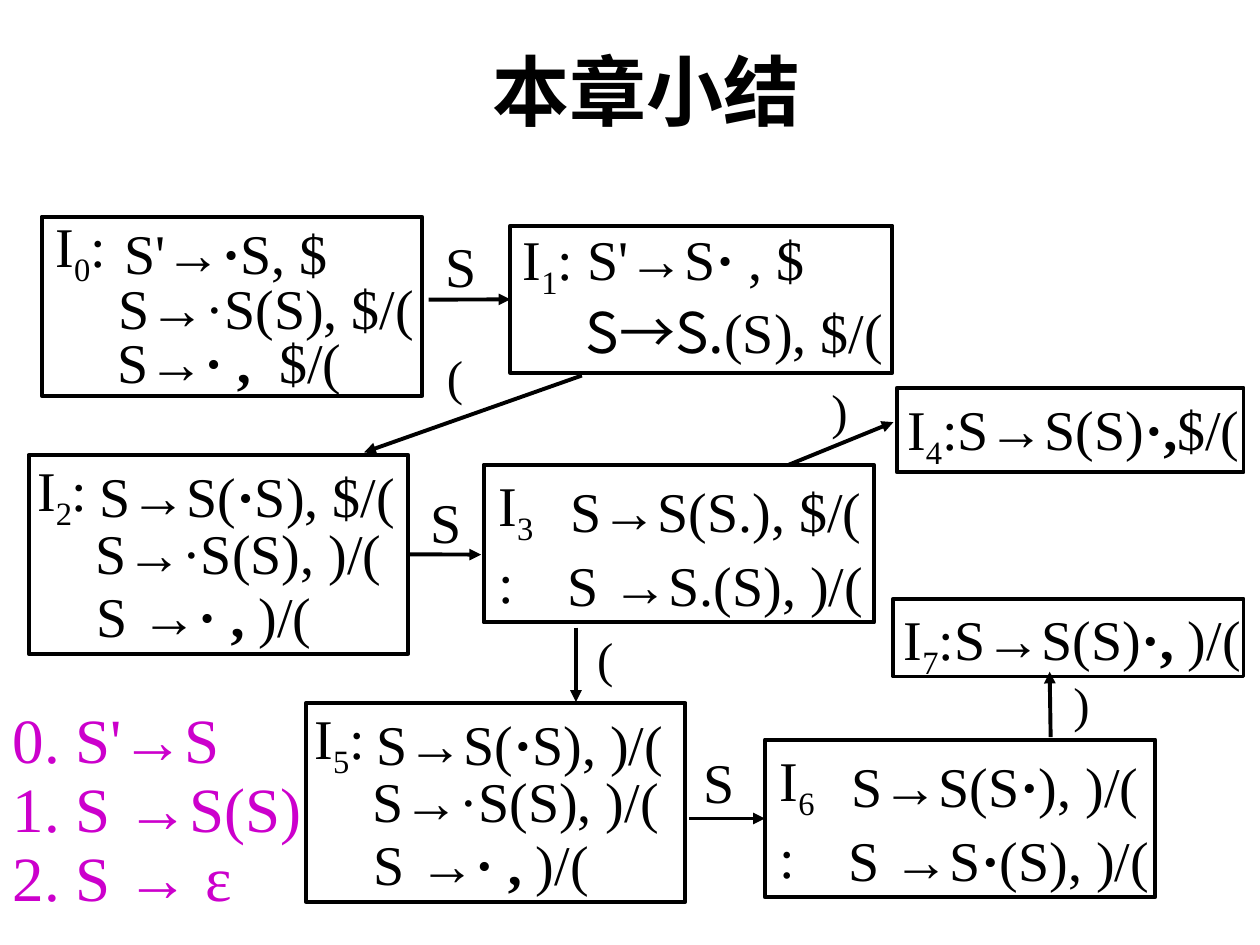
from collections import namedtuple
from dataclasses import dataclass

from lxml import etree
from pptx import Presentation
from pptx.dml.color import RGBColor
from pptx.enum.shapes import MSO_CONNECTOR, MSO_SHAPE
from pptx.enum.text import MSO_ANCHOR, MSO_AUTO_SIZE, PP_ALIGN
from pptx.oxml.ns import qn
from pptx.util import Cm, Pt

STRAIGHT = MSO_CONNECTOR.STRAIGHT
RECTANGLE = MSO_SHAPE.RECTANGLE
MIDDLE = MSO_ANCHOR.MIDDLE
FIT_SHAPE, NO_FIT = MSO_AUTO_SIZE.SHAPE_TO_FIT_TEXT, MSO_AUTO_SIZE.NONE
CENTER = PP_ALIGN.CENTER
LEFT, RIGHT = 1, 3  # connection sites of a rectangle
BOLD, SUB, CJK = "bold", "sub", "cjk"

Side = namedtuple("Side", "state site")
State = namedtuple("State", "box label label_spot items spots")


@dataclass(frozen=True)
class Theme:
    ink: RGBColor = RGBColor(0, 0, 0)
    accent: RGBColor = RGBColor(0xCC, 0x00, 0xCC)
    latin: str = "Times New Roman"
    cjk: str = "Noto Sans CJK SC"
    title_size: int = 44
    grammar_size: int = 36
    item_size: int = 32
    paren_size: int = 28
    line_width: float = 2.25


class SlideBuilder:
    def __init__(self, slide, theme):
        self.slide = slide
        self.theme = theme

    @staticmethod
    def place(shape, left, top, width, height):
        shape.left, shape.top = Cm(left), Cm(top)
        shape.width, shape.height = Cm(width), Cm(height)

    @staticmethod
    def style(paragraph, size, color, face, bold=None):
        font = paragraph.font
        font.size, font.name, font.bold = Pt(size), face, bold
        font.color.rgb = color
        defaults = paragraph._p.pPr.find(qn("a:defRPr"))
        etree.SubElement(defaults, qn("a:ea"), typeface=face)

    def title(self, text, *bounds):
        holder = self.slide.shapes.title
        self.place(holder, *bounds)
        frame = holder.text_frame
        frame.text = text
        frame.vertical_anchor = MIDDLE
        frame.paragraphs[0].alignment = CENTER
        self.style(frame.paragraphs[0], self.theme.title_size,
                   self.theme.ink, self.theme.cjk, True)

    def grammar(self, start_rule, numbered_rules, *bounds):
        holder = self.slide.placeholders[1]
        self.place(holder, *bounds)
        frame = holder.text_frame
        frame.auto_size = NO_FIT
        frame.text = "\n".join([start_rule, *numbered_rules])
        for index, paragraph in enumerate(frame.paragraphs):
            props = paragraph._p.get_or_add_pPr()
            props.set("marL", str(Cm(1.27)))
            props.set("indent", str(-Cm(1.27)))
            if index:
                color = etree.SubElement(props, qn("a:buClr"))
                etree.SubElement(color, qn("a:srgbClr"),
                                 val=str(self.theme.accent))
                etree.SubElement(props, qn("a:buFont"),
                                 typeface=self.theme.latin)
                etree.SubElement(props, qn("a:buAutoNum"), type="arabicPeriod")
            else:
                etree.SubElement(props, qn("a:buNone"))
            paragraph.line_spacing = 0.6
            paragraph.space_before = Pt(13.5 if index else 0)
            self.style(paragraph, self.theme.grammar_size,
                       self.theme.accent, self.theme.latin)

    def text(self, runs, left, top, width, size=None, height=1.63):
        """Add one line; each run is a string or a (string, variant) pair."""
        box = self.slide.shapes.add_textbox(
            Cm(left), Cm(top), Cm(width), Cm(height))
        frame = box.text_frame
        frame.word_wrap = True
        frame.auto_size = FIT_SHAPE
        paragraph = frame.paragraphs[0]
        self.style(paragraph, size or self.theme.item_size,
                   self.theme.ink, self.theme.latin)
        for part in runs:
            words, variant = (part, None) if isinstance(part, str) else part
            run = paragraph.add_run()
            run.text = words
            if variant == BOLD:
                run.font.bold = True
            elif variant == SUB:
                run._r.get_or_add_rPr().set("baseline", "-25000")
            elif variant == CJK:
                run.font.name = self.theme.cjk
                etree.SubElement(run._r.rPr, qn("a:ea"),
                                 typeface=self.theme.cjk)

    def state(self, number, state):
        """Draw the frame, the label and the items, placed from its corner."""
        left, top, width, height = state.box
        frame = self.slide.shapes.add_shape(
            RECTANGLE, Cm(left), Cm(top), Cm(width), Cm(height))
        frame.shadow.inherit = False
        frame.fill.background()
        frame.line.color.rgb = self.theme.ink
        frame.line.width = Pt(self.theme.line_width)
        dx, dy, label_width, label_height = state.label_spot
        self.text(["I", (str(number), SUB), *state.label],
                  left + dx, top + dy, label_width, height=label_height)
        for runs, (dx, dy, item_width) in zip(state.items, state.spots):
            self.text(runs, left + dx, top + dy, item_width)
        return frame

    def arrow(self, start, end, frames):
        """Draw from start to end, each a point or a Side of a state."""
        points = [(0, 0) if isinstance(spot, Side) else spot
                  for spot in (start, end)]
        line = self.slide.shapes.add_connector(
            STRAIGHT, *(Cm(value) for point in points for value in point))
        if isinstance(start, Side):
            line.begin_connect(frames[start.state], start.site)
        if isinstance(end, Side):
            line.end_connect(frames[end.state], end.site)
        line.line.color.rgb = self.theme.ink
        line.line.width = Pt(self.theme.line_width)
        etree.SubElement(line.line._get_or_add_ln(), qn("a:tailEnd"),
                         type="triangle")
        etree.SubElement(line._element.spPr, qn("a:effectLst"))


DOT = ("·", BOLD)
DOT_COMMA = ("· , ", BOLD)
TRIPLE_LABEL = (-0.08, -0.11, 2.11, 1.8)
TRIPLE_SPOTS = [(1.17, 0, 7.34), (1.09, 1.16, 6.78), (1.12, 2.43, 6.12)]
PAIR_LABEL = (0.05, 0, 1.47, 3.15)
PAIR_SPOTS = [(1.5, 0.11, 7.1), (1.44, 1.6, 6.78)]
SINGLE_LABEL = (-0.04, 0, 7.37, 1.8)


def triple(left, top, lookahead):
    items = [["S→S(", DOT, f"S), {lookahead}"], ["S→·S(S), )/("],
             ["S →", DOT_COMMA, ")/("]]
    return State((left, top, 7.65, 4.01), [":"], TRIPLE_LABEL,
                 items, TRIPLE_SPOTS)


def pair(left, top, items):
    return State((left, top, 7.87, 3.18), [":"], PAIR_LABEL, items, PAIR_SPOTS)


STATES = [
    State((0.84, 4.37, 7.67, 3.61), [":"], (0.03, -0.23, 2.11, 1.8),
          [["S'→", DOT, "S, $"], ["S→·S(S), $/("],
           ["S→", ("· ,  ", BOLD), "$/("]],
          [(1.42, -0.08, 4.9), (1.3, 1.02, 6.76), (1.27, 2.11, 5.36)]),
    State((10.29, 4.55, 7.7, 2.97), [": S'→S", DOT, " , $"],
          (0, -0.15, 6.78, 1.8),
          [[("S→S.", CJK), "(S), $/("]], [(1.27, 1.32, 6.99)]),
    triple(0.58, 9.17, "$/("),
    pair(9.75, 9.37, [["S→S(S.), $/("], ["S →S.(S), )/("]]),
    State((18.08, 7.82, 6.99, 1.7), [":S→S(S)", ("·,", BOLD), "$/("],
          SINGLE_LABEL, [], []),
    triple(6.17, 14.17, ")/("),
    pair(15.42, 14.91, [["S→S(S", DOT, "), )/("], ["S →S", DOT, "(S), )/("]]),
    State((18.01, 12.07, 7.06, 1.57), [":S→S(S)", ("·, ", BOLD), ")/("],
          SINGLE_LABEL, [], []),
]

# start, end, symbol, left, top and width of the symbol
TRANSITIONS = [
    ((8.64, 6.04), Side(1, LEFT), "S", 8.74, 4.55, 0.81),
    ((11.73, 7.57), (7.34, 9.12), "(", 8.76, 6.86, 1.27),
    (Side(2, RIGHT), (9.7, 11.18), "S", 8.43, 9.7, 1.47),
    ((15.9, 9.37), (18.01, 8.51), ")", 16.51, 7.54, 1.07),
    ((11.61, 12.65), (11.61, 14.15), "(", 11.79, 12.55, 0.89),
    ((13.89, 16.5), Side(6, LEFT), "S", 13.94, 14.94, 1.47),
    ((21.18, 14.86), (21.16, 13.54), ")", 21.39, 13.46, 1.07),
]


def main():
    deck = Presentation()
    deck.slide_width, deck.slide_height = Cm(25.4), Cm(19.05)
    theme = Theme()
    builder = SlideBuilder(deck.slides.add_slide(deck.slide_layouts[1]), theme)
    builder.title("本章小结", 3.61, 0.64, 18.85, 2.34)
    builder.grammar("0. S'→S", ["S →S(S)", "S → ε"], 0, 14.53, 6.35, 3.96)
    frames = [builder.state(number, state)
              for number, state in enumerate(STATES)]
    for start, end, symbol, *spot in TRANSITIONS:
        builder.arrow(start, end, frames)
        size = theme.item_size if symbol == "S" else theme.paren_size
        builder.text([symbol], *spot, size=size)
    deck.save("out.pptx")


if __name__ == "__main__":
    main()
